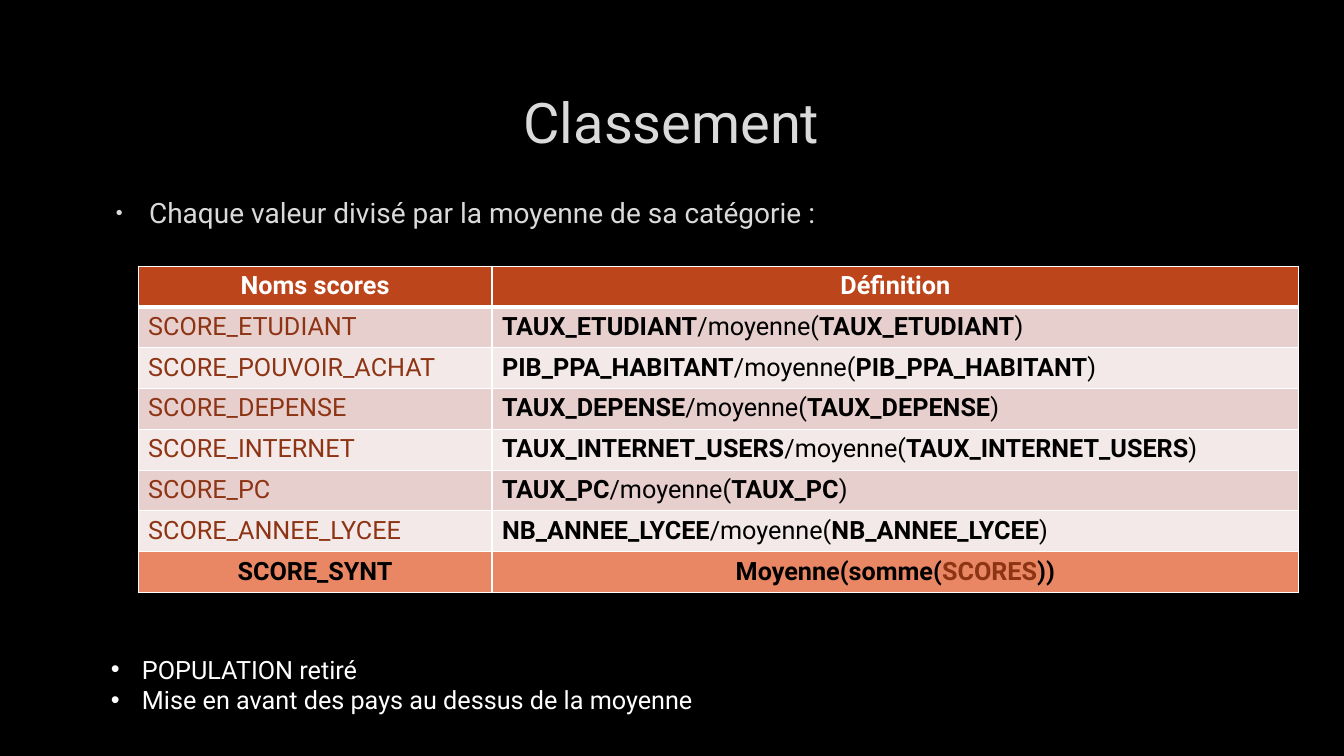
from dataclasses import dataclass

from lxml import etree
from pptx import Presentation
from pptx import util as u
from pptx.dml import color
from pptx.enum import text as t
from pptx.oxml import ns

FONT = "Roboto"
WHITE, BLACK, GREY, RUST = "FFFFFF", "000000", "DADADA", "8D3414"
HEADER_FILL, TOTAL_FILL = "BC451B", "E98764"
BAND_FILLS = ("E7CFCD", "F3E9E8")


@dataclass
class Span:
    words: str
    colour: str = BLACK
    bold: bool = False


@dataclass
class Row:
    cells: list[list[Span]]
    fill: str
    centred: bool = False
    top_line: float = 1
    bottom_line: float = 1


@dataclass
class Bullet:
    words: str
    colour: str
    size: float
    indent: float
    hanging: float
    scale: int = 100
    after: float = 0
    outlined: bool = False


def rgb(value: str) -> color.RGBColor:
    return color.RGBColor.from_string(value)


def apply(target, values: dict) -> None:
    for name, value in values.items():
        setattr(target, name, value)


def child(parent, tag: str, **attributes):
    return etree.SubElement(parent, ns.qn(tag), attributes)


def add_span(para, span: Span, size: float, outlined: bool = False) -> None:
    run = para.add_run()
    run.text = span.words
    apply(run.font, {"name": FONT, "size": u.Pt(size), "bold": span.bold})
    run.font.color.rgb = rgb(span.colour)
    if outlined:
        properties = run.font._element
        line = child(properties, "a:ln", w=str(u.Pt(0.75)))
        paint = child(child(line, "a:solidFill"), "a:srgbClr", val="404040")
        child(paint, "a:alpha", val="10000")
        properties.insert(0, line)


def place(shape, left: float, top: float, width: float, height: float) -> None:
    apply(shape, {"left": u.Inches(left), "top": u.Inches(top),
                  "width": u.Inches(width), "height": u.Inches(height)})


def add_bullets(page, left: float, top: float, width: float, height: float,
                bullets: list[Bullet]) -> None:
    box = page.shapes.add_textbox(*map(u.Inches, (left, top, width, height)))
    box.text_frame.word_wrap = True
    for index, bullet in enumerate(bullets):
        para = box.text_frame.add_paragraph() if index else box.text_frame.paragraphs[0]
        para.space_after = u.Pt(bullet.after)
        properties = para._p.get_or_add_pPr()
        properties.set("marL", str(u.Inches(bullet.indent)))
        properties.set("indent", str(-u.Inches(bullet.hanging)))
        child(child(properties, "a:buClr"), "a:srgbClr", val=bullet.colour)
        child(properties, "a:buSzPct", val=str(bullet.scale * 1000))
        child(properties, "a:buFont", typeface="Arial")
        child(properties, "a:buChar", char="•")
        add_span(para, Span(bullet.words, bullet.colour), bullet.size, bullet.outlined)


def set_borders(cell, row: Row) -> None:
    properties = cell._tc.get_or_add_tcPr()
    widths = {"a:lnL": 1, "a:lnR": 1, "a:lnT": row.top_line, "a:lnB": row.bottom_line}
    for position, (tag, width) in enumerate(widths.items()):
        line = child(properties, tag, w=str(u.Pt(width)))
        child(child(line, "a:solidFill"), "a:srgbClr", val=WHITE)
        properties.insert(position, line)


def add_score_table(page, rows: list[Row]) -> None:
    widths, row_height = (3.51, 8), 0.405
    frame = page.shapes.add_table(
        len(rows), len(widths), u.Inches(1.37), u.Inches(2.64),
        u.Inches(sum(widths)), u.Inches(row_height * len(rows)))
    table = frame.table
    for column, width in zip(table.columns, widths):
        column.width = u.Inches(width)
    for table_row, row in zip(table.rows, rows):
        table_row.height = u.Inches(row_height)
        for cell, spans in zip(table_row.cells, row.cells):
            cell.fill.solid()
            cell.fill.fore_color.rgb = rgb(row.fill)
            set_borders(cell, row)
            para = cell.text_frame.paragraphs[0]
            para.alignment = t.PP_ALIGN.CENTER if row.centred else t.PP_ALIGN.LEFT
            for span in spans:
                add_span(para, span, 18)


def score_rows() -> list[Row]:
    scores = {
        "SCORE_ETUDIANT": "TAUX_ETUDIANT",
        "SCORE_POUVOIR_ACHAT": "PIB_PPA_HABITANT",
        "SCORE_DEPENSE": "TAUX_DEPENSE",
        "SCORE_INTERNET": "TAUX_INTERNET_USERS",
        "SCORE_PC": "TAUX_PC",
        "SCORE_ANNEE_LYCEE": "NB_ANNEE_LYCEE",
    }
    header = Row([[Span("Noms scores", WHITE, True)], [Span("Définition", WHITE, True)]],
                 HEADER_FILL, centred=True, bottom_line=3)
    body = [
        Row([[Span(score, RUST)],
             [Span(measure, bold=True), Span("/moyenne("),
              Span(measure, bold=True), Span(")")]],
            BAND_FILLS[index % 2], top_line=1 if index else 3)
        for index, (score, measure) in enumerate(scores.items())
    ]
    total = Row([[Span("SCORE_SYNT", bold=True)],
                 [Span("Moyenne(somme(", bold=True), Span("SCORES", RUST, True),
                  Span("))", bold=True)]],
                TOTAL_FILL, centred=True)
    return [header, *body, total]


def add_title(page, words: str) -> None:
    title = page.shapes.title
    place(title, 1, 0.67, 11.32, 1.06)
    apply(title.text_frame, {"word_wrap": True, "auto_size": t.MSO_AUTO_SIZE.NONE,
                             "vertical_anchor": t.MSO_ANCHOR.MIDDLE})
    para = title.text_frame.paragraphs[0]
    para.alignment = t.PP_ALIGN.CENTER
    add_span(para, Span(words, GREY), 40, outlined=True)


def main() -> None:
    deck = Presentation()
    apply(deck, {"slide_width": u.Inches(13.33), "slide_height": u.Inches(7.5)})
    page = deck.slides.add_slide(deck.slide_layouts[5])
    page.background.fill.solid()
    page.background.fill.fore_color.rgb = rgb(BLACK)
    add_title(page, "Classement")
    add_bullets(page, 1, 1.89, 11.32, 4.44, [
        Bullet("Chaque valeur divisé par la moyenne de sa catégorie :", GREY, 20,
               0.38, 0.33, scale=70, after=6, outlined=True)])
    add_score_table(page, score_rows())
    notes = ("POPULATION retiré", "Mise en avant des pays au dessus de la moyenne")
    add_bullets(page, 1, 6.44, 8.31, 0.71,
                [Bullet(note, WHITE, 18, 0.31, 0.31) for note in notes])
    deck.save("out.pptx")


if __name__ == "__main__":
    main()
